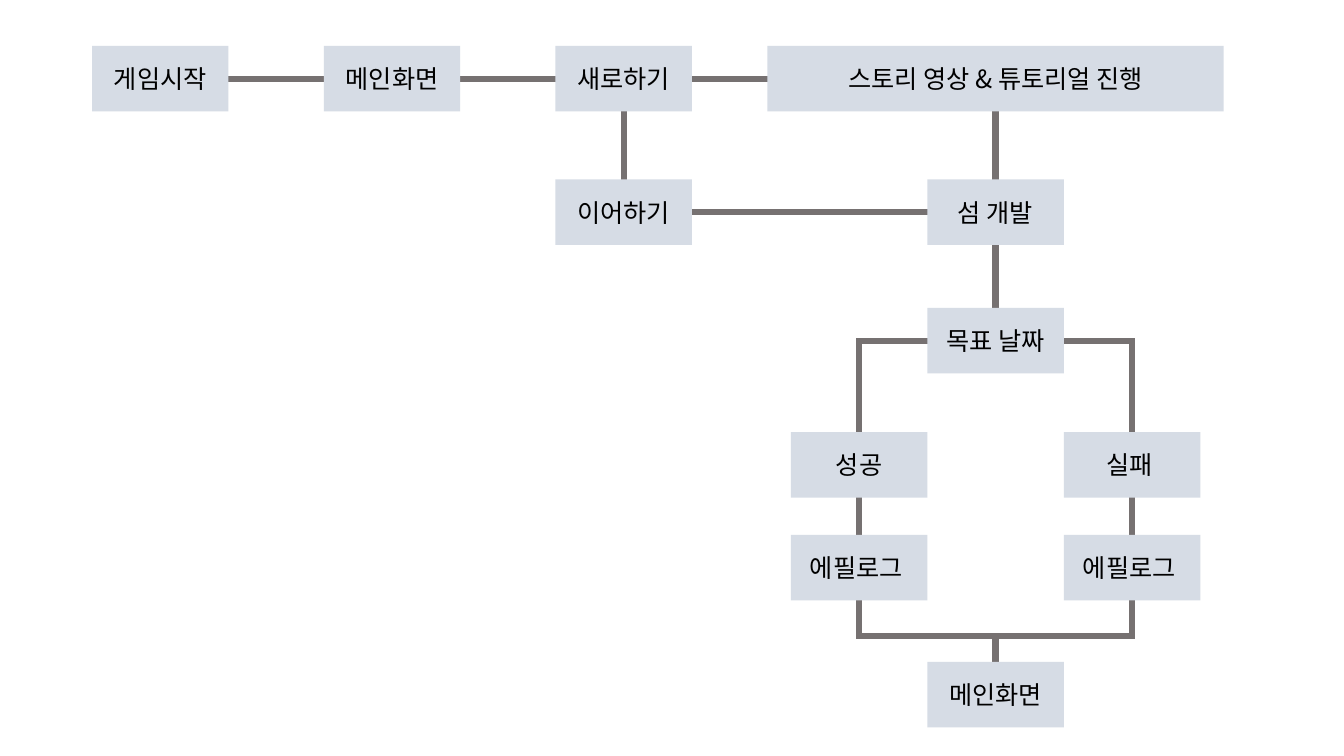
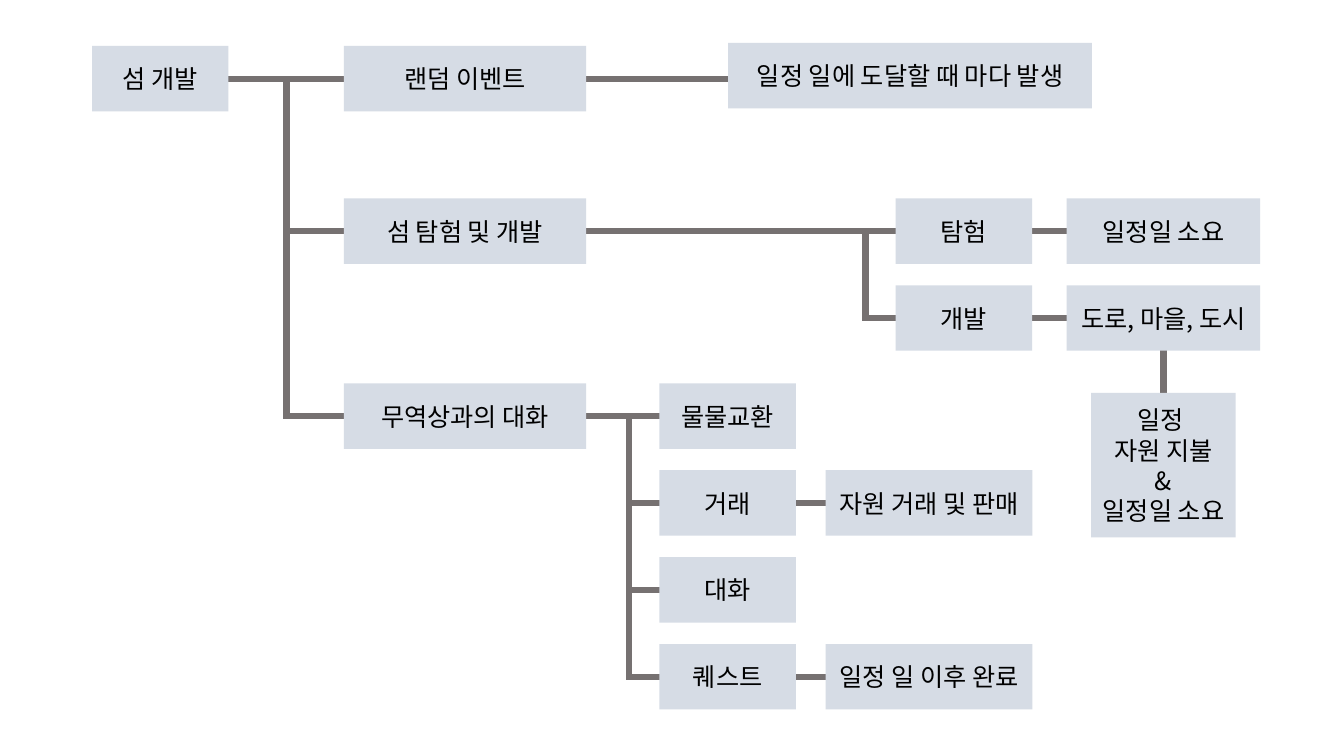
from dataclasses import dataclass

from lxml import etree
from pptx import Presentation
from pptx.dml.color import RGBColor
from pptx.enum import shapes, text
from pptx.oxml import ns
from pptx.util import Cm, Pt


@dataclass(frozen=True)
class Theme:
    fill: RGBColor = RGBColor(0xD6, 0xDC, 0xE5)
    wire: RGBColor = RGBColor(0x76, 0x71, 0x71)
    ink: RGBColor = RGBColor(0, 0, 0)
    font: str = "Noto Sans CJK KR"
    size: Pt = Pt(18)
    wire_width: Pt = Pt(4.5)


@dataclass(frozen=True)
class Node:
    """A labelled box; lengths are centimetres from the corner of its area."""
    label: str
    left: float
    top: float
    width: float = 3.44
    height: float = 1.65

    @property
    def right(self):
        return self.left + self.width

    @property
    def bottom(self):
        return self.top + self.height

    @property
    def center(self):
        return self.left + self.width / 2

    @property
    def middle(self):
        return self.top + self.height / 2


THEME = Theme()
AREA = (2.32, 1.16)


def across(start, end):
    return [(start.right, start.middle), (end.left, start.middle)]


def down(start, end):
    return [(start.center, start.bottom), (start.center, end.top)]


def branch(parent, children, trunk):
    """Wires from a parent through a vertical trunk to children on its right."""
    wires = [across(parent, children[0])]
    for child in children[1:]:
        wires.append([(trunk, parent.middle), (trunk, child.middle),
                      (child.left, child.middle)])
    return wires


def draw_wire(page, area, points):
    left, top = area
    for (x1, y1), (x2, y2) in zip(points, points[1:]):
        wire = page.shapes.add_connector(
            shapes.MSO_CONNECTOR.STRAIGHT,
            Cm(left + x1), Cm(top + y1), Cm(left + x2), Cm(top + y2))
        wire.line.color.rgb = THEME.wire
        wire.line.width = THEME.wire_width
        properties = wire.element.spPr
        properties.find(ns.qn("a:ln")).set("cap", "sq")
        etree.SubElement(properties, ns.qn("a:effectLst"))


def draw_node(page, area, node):
    left, top = area
    box = page.shapes.add_shape(
        shapes.MSO_SHAPE.RECTANGLE, Cm(left + node.left), Cm(top + node.top),
        Cm(node.width), Cm(node.height))
    box.shadow.inherit = False
    box.fill.solid()
    box.fill.fore_color.rgb = THEME.fill
    box.line.fill.background()
    frame = box.text_frame
    frame.word_wrap = True
    frame.vertical_anchor = text.MSO_ANCHOR.MIDDLE
    for index, line in enumerate(node.label.split("\n")):
        para = frame.add_paragraph() if index else frame.paragraphs[0]
        para.alignment = text.PP_ALIGN.CENTER
        span = para.add_run()
        span.text = line
        span.font.size = THEME.size
        span.font.color.rgb = THEME.ink
        span.font.name = THEME.font
        east_asian = etree.SubElement(span.font._element, ns.qn("a:ea"))
        east_asian.set("typeface", THEME.font)


def draw_flow(page, area, nodes, wires):
    """Wires go first so that the boxes cover their square ends."""
    for points in wires:
        draw_wire(page, area, points)
    for node in nodes:
        draw_node(page, area, node)


def game_flow(page, area):
    start, main, new = [Node(label, 5.84 * column, 0) for column, label
                        in enumerate(("게임시작", "메인화면", "새로하기"))]
    story = Node("스토리 영상 & 튜토리얼 진행", 17.02, 0, width=11.5)
    resume = Node("이어하기", new.left, 3.36)
    island = Node("섬 개발", 21.05, resume.top)
    goal = Node("목표 날짜", island.left, 6.6)
    finish = Node("메인화면", island.left, 15.52)
    nodes = [start, main, new, story, resume, island, goal, finish]
    wires = [across(start, main), across(main, new), across(new, story),
             across(resume, island), down(new, resume),
             down(story, island), down(island, goal)]
    join = 14.86
    for label, side, edge in (("성공", -1, goal.left), ("실패 ", 1, goal.right)):
        result = Node(label, goal.left + side * goal.width, 9.73)
        epilogue = Node("에필로그 ", result.left, 12.32)
        nodes += [result, epilogue]
        wires += [
            [(edge, goal.middle), (result.center, goal.middle),
             (result.center, result.top)],
            down(result, epilogue),
            [(epilogue.center, epilogue.bottom), (epilogue.center, join),
             (finish.center, join)]]
    wires.append([(finish.center, join), (finish.center, finish.top)])
    draw_flow(page, area, nodes, wires)


def island_flow(page, area):
    step = 2.19
    island = Node("섬 개발", 0, 0)
    topics = [Node(label, 6.35, top, width=6.1) for label, top in (
        ("랜덤 이벤트", 0), ("섬 탐험 및 개발", 3.84), ("무역상과의 대화", 8.5))]
    event, explore, trader = topics
    timing = Node("일정 일에 도달할 때 마다 발생", 16.03, -0.08, width=9.17)
    actions = [Node(label, 20.25, explore.top + step * row)
               for row, label in enumerate(("탐험", "개발"))]
    costs = [Node(label, 24.56, action.top, width=4.88) for label, action
             in zip(("일정일 소요", "도로, 마을, 도시"), actions)]
    payment = Node("일정 \n자원 지불\n&\n일정일 소요", 25.18, 8.74, 3.64, 3.64)
    deals = [Node(label, 14.3, trader.top + step * row) for row, label
             in enumerate(("물물교환", "거래", "대화", "퀘스트"))]
    outcomes = [Node(label, 18.49, deal.top, width=5.21) for label, deal
                in zip(("자원 거래 및 판매", "일정 일 이후 완료"), deals[1::2])]
    pairs = [(event, timing), *zip(actions, costs), *zip(deals[1::2], outcomes)]
    wires = [across(*pair) for pair in pairs]
    wires.append(down(costs[1], payment))
    wires += branch(island, topics, 4.9)
    wires += branch(explore, actions, 19.49)
    wires += branch(trader, deals, 13.54)
    nodes = [island, *topics, timing, *actions, *costs, payment, *deals, *outcomes]
    draw_flow(page, area, nodes, wires)


def main():
    deck = Presentation()
    deck.slide_width, deck.slide_height = Cm(33.87), Cm(19.05)
    for build in (game_flow, island_flow):
        build(deck.slides.add_slide(deck.slide_layouts[6]), AREA)
    deck.save("out.pptx")


if __name__ == "__main__":
    main()
